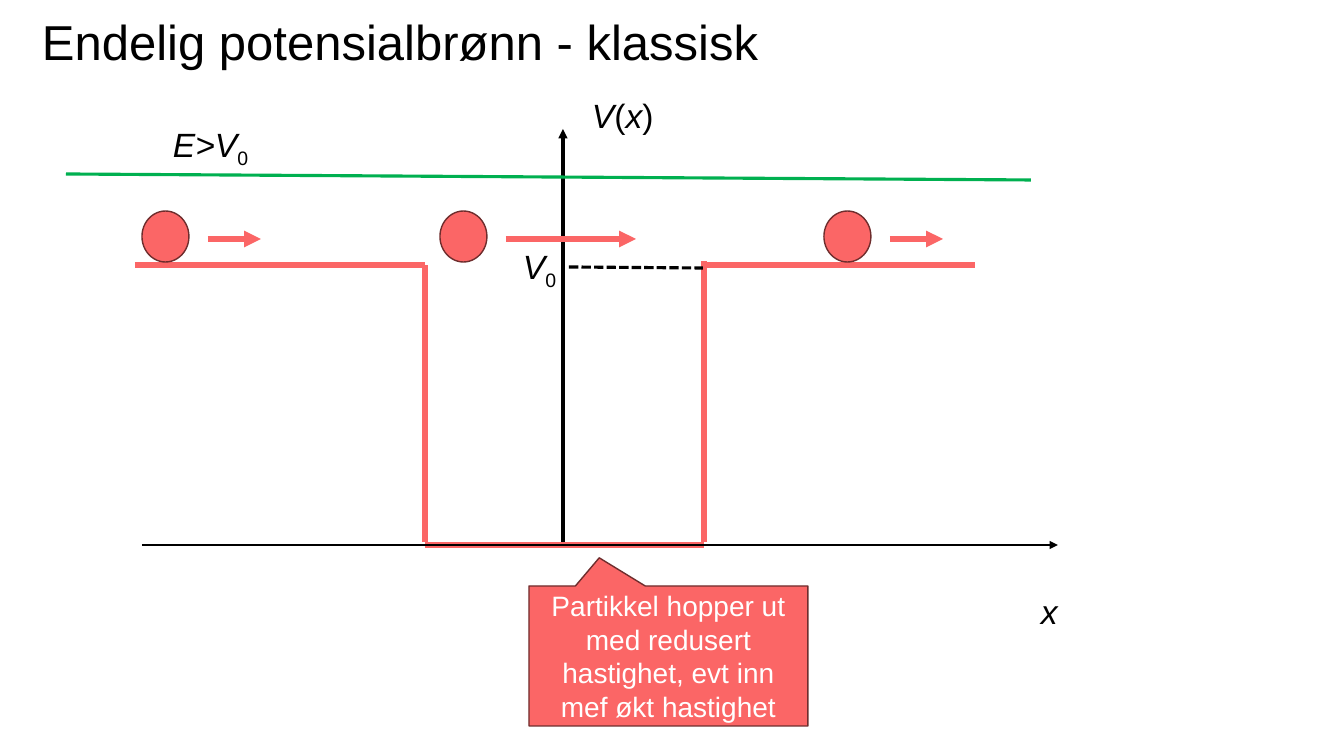
import pptx
import pptx.dml.color
import pptx.enum.dml
import pptx.enum.shapes
import pptx.enum.text
import pptx.oxml.ns
import pptx.oxml.xmlchemy
import pptx.util

PX = 914400 / 100.8
CORAL, MAROON, BLACK, GREEN, WHITE = "FB6666", "6E2D2D", "000000", "00B050", "FFFFFF"
SHAPES = pptx.enum.shapes.MSO_SHAPE
rgb = pptx.dml.color.RGBColor.from_string

deck = pptx.Presentation()
deck.slide_width, deck.slide_height = round(1344 * PX), round(756 * PX)
slide = deck.slides.add_slide(deck.slide_layouts[6])


def px(*lengths):
    """Turn px lengths into EMU."""
    return [round(length * PX) for length in lengths]


def add_line(ends, color, width, arrow=False):
    line = slide.shapes.add_connector(pptx.enum.shapes.MSO_CONNECTOR.STRAIGHT, *px(*ends))
    line.line.color.rgb = rgb(color)
    line.line.width = pptx.util.Pt(width)
    properties = line._element.spPr
    if arrow:
        head = pptx.oxml.xmlchemy.OxmlElement("a:tailEnd")
        head.set("type", "triangle")
        properties.find(pptx.oxml.ns.qn("a:ln")).append(head)
    properties.append(pptx.oxml.xmlchemy.OxmlElement("a:effectLst"))
    return line


# Title
title = slide.shapes.add_textbox(*px(42, 18, 1260, 83)).text_frame
title.word_wrap = True
title.margin_left = title.margin_right = title.margin_top = title.margin_bottom = 0
title.text = "Endelig potensialbrønn - klassisk"
title.paragraphs[0].line_spacing = 0.9
title_font = title.paragraphs[0].runs[0].font
title_font.name, title_font.size = "Arial", pptx.util.Pt(35)
title_font.color.rgb = rgb(BLACK)

# Potential well
LEFT_WALL, RIGHT_WALL, WELL_TOP, WELL_FLOOR = 425, 704, 265, 545
for well_side in [
    (135, WELL_TOP, LEFT_WALL, WELL_TOP),
    (LEFT_WALL, 542, LEFT_WALL, WELL_TOP),
    (LEFT_WALL, WELL_FLOOR, RIGHT_WALL, WELL_FLOOR),
    (RIGHT_WALL, 542, RIGHT_WALL, 261),
    (975, WELL_TOP, RIGHT_WALL, WELL_TOP),
]:
    add_line(well_side, CORAL, 4)

# Axes, V0 level and energy level
add_line((563, 542, 563, 129), BLACK, 2.25, arrow=True)
add_line((142, WELL_FLOOR, 1058, WELL_FLOOR), BLACK, 1.5, arrow=True)
v0_level = add_line((569, 267, 703, 268), BLACK, 2.25)
v0_level.line.dash_style = pptx.enum.dml.MSO_LINE.SQUARE_DOT
add_line((66, 174, 1031, 180), GREEN, 2.25)

# Symbols: each part is its text and its style
for place, parts in [
    ((1031, 586, 37, 50), [("x", "italic")]),
    ((582, 90, 123, 50), [("V", "italic"), ("(", ""), ("x", "italic"), (")", "")]),
    ((513, 241, 55, 50), [("V", "italic"), ("0", "subscript")]),
    ((163, 119, 98, 50), [("E>V", "italic"), ("0", "subscript")]),
]:
    symbol = slide.shapes.add_textbox(*px(*place)).text_frame
    symbol.word_wrap = True
    for text, style in parts:
        run = symbol.paragraphs[0].add_run()
        run.text = text
        run.font.name, run.font.size = "Arial", pptx.util.Pt(24)
        run.font.color.rgb = rgb(BLACK)
        run.font.italic = style == "italic"
        if style == "subscript":
            run.font._element.set("baseline", "-25000")
    symbol.word_wrap = False

# Callout and particles with their velocity arrows
callout = slide.shapes.add_shape(SHAPES.RECTANGULAR_CALLOUT, *px(529, 586, 279, 140))
callout.adjustments[0], callout.adjustments[1] = -0.248, -0.701
particles = []
for left, speed in [(142, 53), (440, 130), (824, 53)]:
    particles.append(slide.shapes.add_shape(SHAPES.OVAL, *px(left, 211, 47, 51)))
    add_line((left + 66, 239, left + 66 + speed, 239), CORAL, 4, arrow=True)

for shape in [callout, *particles]:
    shape.shadow.inherit = False
    shape.fill.solid()
    shape.fill.fore_color.rgb = rgb(CORAL)
    shape.line.color.rgb = rgb(MAROON)
    shape.line.width = pptx.util.Pt(1)

message = callout.text_frame
message.word_wrap = True
message.vertical_anchor = pptx.enum.text.MSO_ANCHOR.MIDDLE
message.text = "Partikkel hopper ut med redusert hastighet, evt inn mef økt hastighet"
message.paragraphs[0].alignment = pptx.enum.text.PP_ALIGN.CENTER
message_font = message.paragraphs[0].runs[0].font
message_font.name, message_font.size = "Arial", pptx.util.Pt(20)
message_font.color.rgb = rgb(WHITE)

deck.save("out.pptx")
